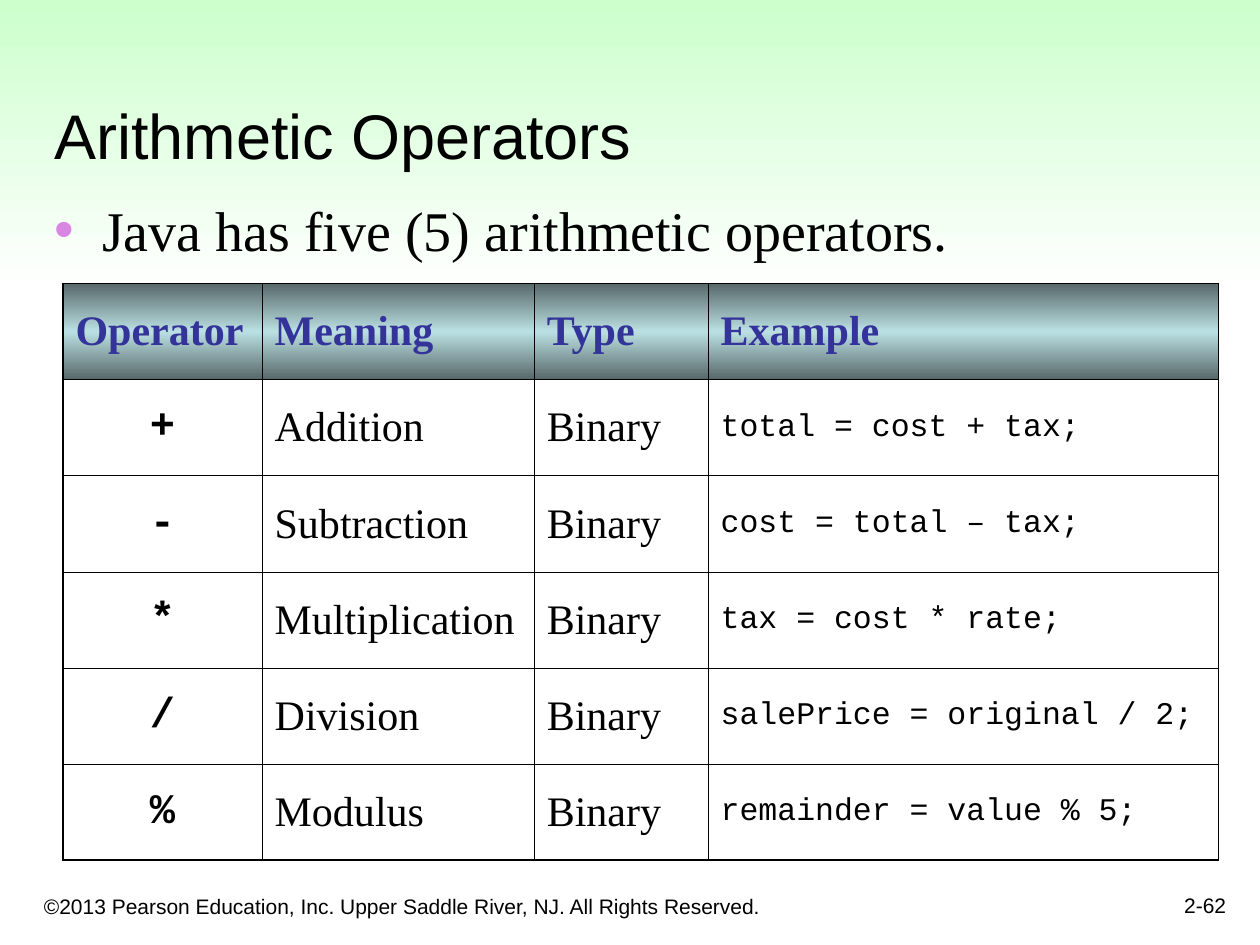
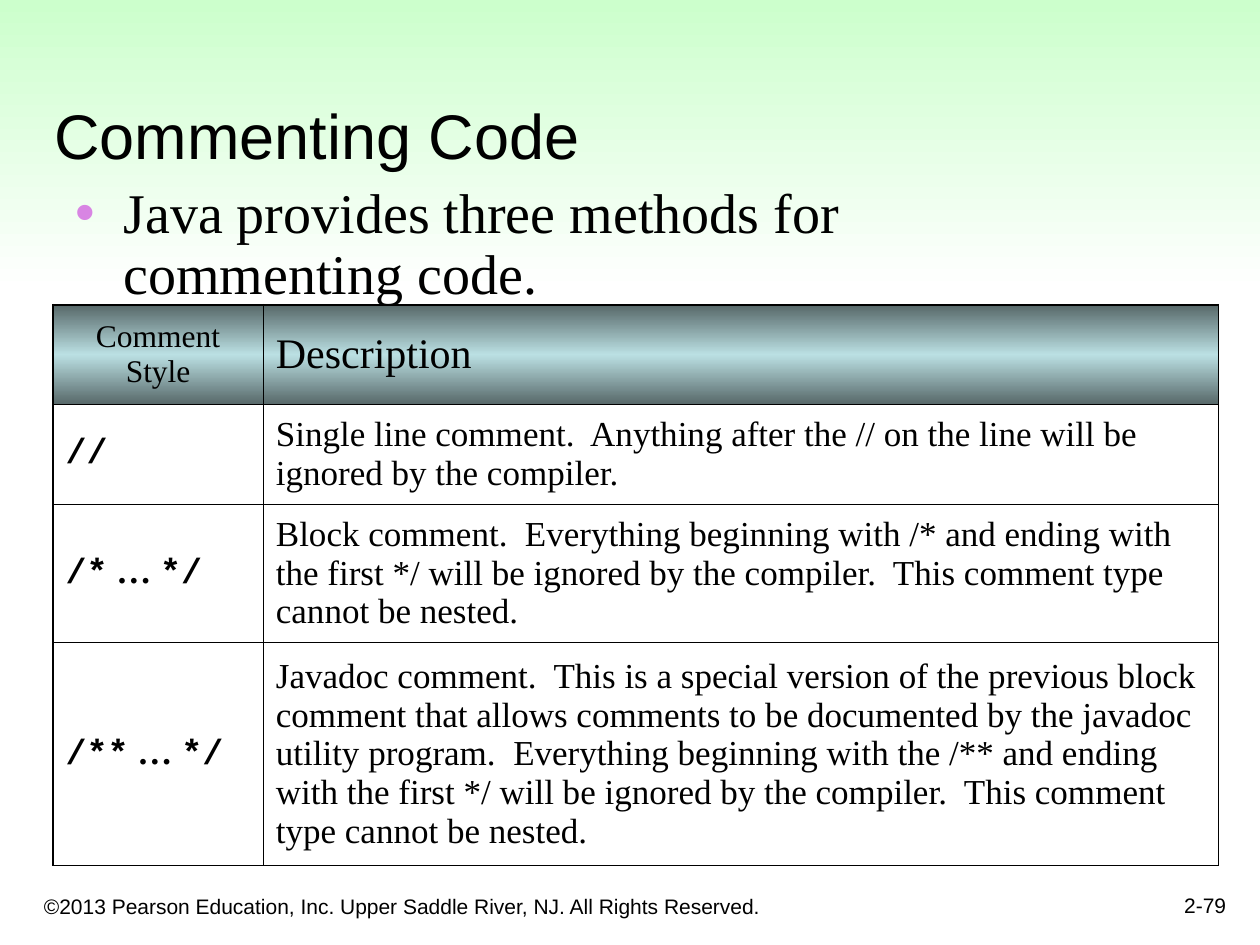
from dataclasses import dataclass

from lxml import etree
from pptx import Presentation
from pptx.dml.color import RGBColor
from pptx.enum import shapes, text
from pptx.oxml import ns
from pptx.util import Inches, Pt

COLORS = {
    "ink": "000000",
    "heading": "333399",
    "bullet": "D885E3",
    "band": "CCFFCC",
    "paper": "FFFFFF",
    "header_edge": "576869",
    "header_middle": "BBE0E3",
}
SANS, SERIF, MONO = "Arial", "Times New Roman", "Courier New"
LEFT, CENTER, RIGHT = text.PP_ALIGN.LEFT, text.PP_ALIGN.CENTER, text.PP_ALIGN.RIGHT
INNER_LINE, OUTER_LINE = 0.45, 1.08
BAND_STOPS = [(0, "band"), (100, "paper")]
HEADER_STOPS = [(0, "header_edge"), (50, "header_middle"), (100, "header_edge")]
COPYRIGHT = "©2013 Pearson Education, Inc. Upper Saddle River, NJ. All Rights Reserved."


@dataclass(frozen=True)
class Style:
    font: str
    size: int
    bold: bool = False
    color: str = "ink"
    align: text.PP_ALIGN = LEFT


@dataclass(frozen=True)
class Box:
    left: float
    top: float
    width: float
    height: float

    def emu(self) -> list:
        return [Inches(v) for v in (self.left, self.top, self.width, self.height)]


@dataclass(frozen=True)
class Grid:
    left: float
    top: float
    columns: list
    rows: list
    header_styles: list
    styles: list
    cells: list
    top_line: float = OUTER_LINE


@dataclass(frozen=True)
class Page:
    title: str
    bullet: str
    bullet_box: Box
    number: str
    grid: Grid
    line_spacing: float = 1.0


TITLE = Style(SANS, 36)
BULLET = Style(SERIF, 32)
FOOTER = Style(SANS, 12)
NUMBER = Style(SANS, 12, align=RIGHT)
HEADING = Style(SERIF, 24, True, "heading")
OPERATOR = Style(MONO, 24, True, align=CENTER)
WORD = Style(SERIF, 24)
EXAMPLE = Style(MONO, 18)
MARKER = Style(MONO, 20, True)
ELLIPSIS = Style(SERIF, 20, True)
PROSE = Style(SERIF, 20)


# Basic formatting
def sub(parent, tag: str, **attributes):
    return etree.SubElement(parent, ns.qn(tag), attributes)


def set_gradient(fill, element, stops: list) -> None:
    """Fill from top to bottom with (percent, colour name) stops."""
    fill.gradient()
    fill.gradient_angle = 270
    stop_list = next(element.iter(ns.qn("a:gsLst")))
    for old in list(stop_list):
        stop_list.remove(old)
    for percent, color in stops:
        stop = sub(stop_list, "a:gs", pos=str(percent * 1000))
        sub(stop, "a:srgbClr", val=COLORS[color])


def add_text(p, content: str, style: Style) -> None:
    p.alignment = style.align
    for i, line in enumerate(content.split("\n")):
        if i:
            p.add_line_break()
        r = p.add_run()
        r.text = line
        r.font.name, r.font.size, r.font.bold = style.font, Pt(style.size), style.bold
        r.font.color.rgb = RGBColor.from_string(COLORS[style.color])


def write(s, content: str, style: Style, anchor=text.MSO_ANCHOR.BOTTOM):
    tf = s.text_frame
    tf.word_wrap = True
    tf.auto_size = text.MSO_AUTO_SIZE.NONE
    tf.vertical_anchor = anchor
    p = tf.paragraphs[0]
    add_text(p, content, style)
    return p


def place(s, box: Box) -> None:
    s.left, s.top, s.width, s.height = box.emu()


# Parts shared by the slides
def add_frame(slide, page: Page) -> None:
    band = slide.shapes.add_shape(shapes.MSO_SHAPE.RECTANGLE, *Box(0, 0, 10, 2.32).emu())
    band.shadow.inherit = False
    band.line.fill.background()
    set_gradient(band.fill, band.element, BAND_STOPS)
    title = slide.shapes.title
    title.element.addprevious(band.element)

    place(title, Box(0.33, 0.33, 9.42, 1.09))
    write(title, page.title, TITLE)
    for box, content, style in (
        (Box(0.25, 6.92, 6.08, 0.42), COPYRIGHT, FOOTER),
        (Box(7.75, 6.83, 2.08, 0.5), page.number, NUMBER),
    ):
        write(slide.shapes.add_textbox(*box.emu()), content, style)


def add_bullet(slide, page: Page) -> None:
    body = slide.placeholders[1]
    place(body, page.bullet_box)
    p = write(body, page.bullet, BULLET, text.MSO_ANCHOR.TOP)
    body.text_frame.margin_right = 0
    p.space_before = Pt(0)
    p.line_spacing = page.line_spacing
    indent = Inches(0.38)
    pPr = p._p.get_or_add_pPr()
    pPr.set("marL", str(indent))
    pPr.set("indent", str(-indent))
    sub(sub(pPr, "a:buClr"), "a:srgbClr", val=COLORS["bullet"])
    sub(pPr, "a:buChar", char="•")


# Tables
def set_borders(cell, widths: dict) -> None:
    tcPr = cell._tc.get_or_add_tcPr()
    for side, width in widths.items():
        line = sub(tcPr, f"a:ln{side}", w=str(Pt(width)))
        sub(sub(line, "a:solidFill"), "a:srgbClr", val=COLORS["ink"])


def add_grid(slide, grid: Grid) -> None:
    n_rows, n_cols = len(grid.rows), len(grid.columns)
    box = Box(grid.left, grid.top, sum(grid.columns), sum(grid.rows))
    table = slide.shapes.add_table(n_rows, n_cols, *box.emu()).table
    table.first_row = table.horz_banding = False
    for column, width in zip(table.columns, grid.columns):
        column.width = Inches(width)
    for row, height in zip(table.rows, grid.rows):
        row.height = Inches(height)

    for i, contents in enumerate(grid.cells):
        styles = grid.styles if i else grid.header_styles
        for j, (content, style) in enumerate(zip(contents, styles)):
            cell = table.cell(i, j)
            cell.vertical_anchor = text.MSO_ANCHOR.MIDDLE
            # Borders come before the fill in the cell properties
            set_borders(cell, {
                "L": INNER_LINE if j else OUTER_LINE,
                "R": OUTER_LINE if j == n_cols - 1 else INNER_LINE,
                "T": INNER_LINE if i else grid.top_line,
                "B": OUTER_LINE if i == n_rows - 1 else INNER_LINE,
            })
            if i:
                cell.fill.background()
            else:
                set_gradient(cell.fill, cell._tc, HEADER_STOPS)
            p = cell.text_frame.paragraphs[0]
            if isinstance(content, str):
                content = [(content, style)]
            for part, part_style in content:
                add_text(p, part, part_style)


def block_marker(opening: str) -> list:
    return [(opening, MARKER), (" … ", ELLIPSIS), ("*/", MARKER)]


# Slide content
OPERATORS = [
    ("+", "Addition", "total = cost + tax;"),
    ("-", "Subtraction", "cost = total – tax;"),
    ("*", "Multiplication", "tax = cost * rate;"),
    ("/", "Division", "salePrice = original / 2;"),
    ("%", "Modulus", "remainder = value % 5;"),
]
COMMENTS = [
    ("//", "Single line comment.  Anything after the // on the line will be "
           "ignored by the compiler."),
    (block_marker("/*"),
     "Block comment.  Everything beginning with /* and ending with the first */ "
     "will be ignored by the compiler.  This comment type cannot be nested."),
    (block_marker("/**"),
     "Javadoc comment.  This is a special version of the previous block comment "
     "that allows comments to be documented by the javadoc utility program.  "
     "Everything beginning with the /** and ending with the first */ will be "
     "ignored by the compiler.  This comment type cannot be nested."),
]
PAGES = [
    Page(
        "Arithmetic Operators",
        "Java has five (5) arithmetic operators.",
        Box(0.33, 1.5, 9.07, 5),
        "2-62",
        Grid(
            0.5, 2.25,
            columns=[1.58, 2.16, 1.38, 4.05],
            rows=[4.58 / 6] * 6,
            header_styles=[HEADING] * 4,
            styles=[OPERATOR, WORD, WORD, EXAMPLE],
            cells=[("Operator", "Meaning", "Type", "Example")]
            + [(sign, name, "Binary", example) for sign, name, example in OPERATORS],
        ),
    ),
    Page(
        "Commenting Code",
        "Java provides three methods for commenting code.",
        Box(0.5, 1.42, 8.5, 1.08),
        "2-79",
        Grid(
            0.42, 2.42,
            columns=[1.67, 7.58],
            rows=[0.79, 0.79, 1.1, 1.77],
            header_styles=[Style(SERIF, 18, align=CENTER), WORD],
            styles=[MARKER, PROSE],
            cells=[("Comment\nStyle", "Description")] + COMMENTS,
            top_line=1.47,
        ),
        line_spacing=0.9,
    ),
]


def main() -> None:
    prs = Presentation()
    prs.slide_width, prs.slide_height = Inches(10), Inches(7.5)
    for page in PAGES:
        slide = prs.slides.add_slide(prs.slide_layouts[1])
        add_frame(slide, page)
        add_bullet(slide, page)
        add_grid(slide, page.grid)
    prs.save("out.pptx")


if __name__ == "__main__":
    main()
